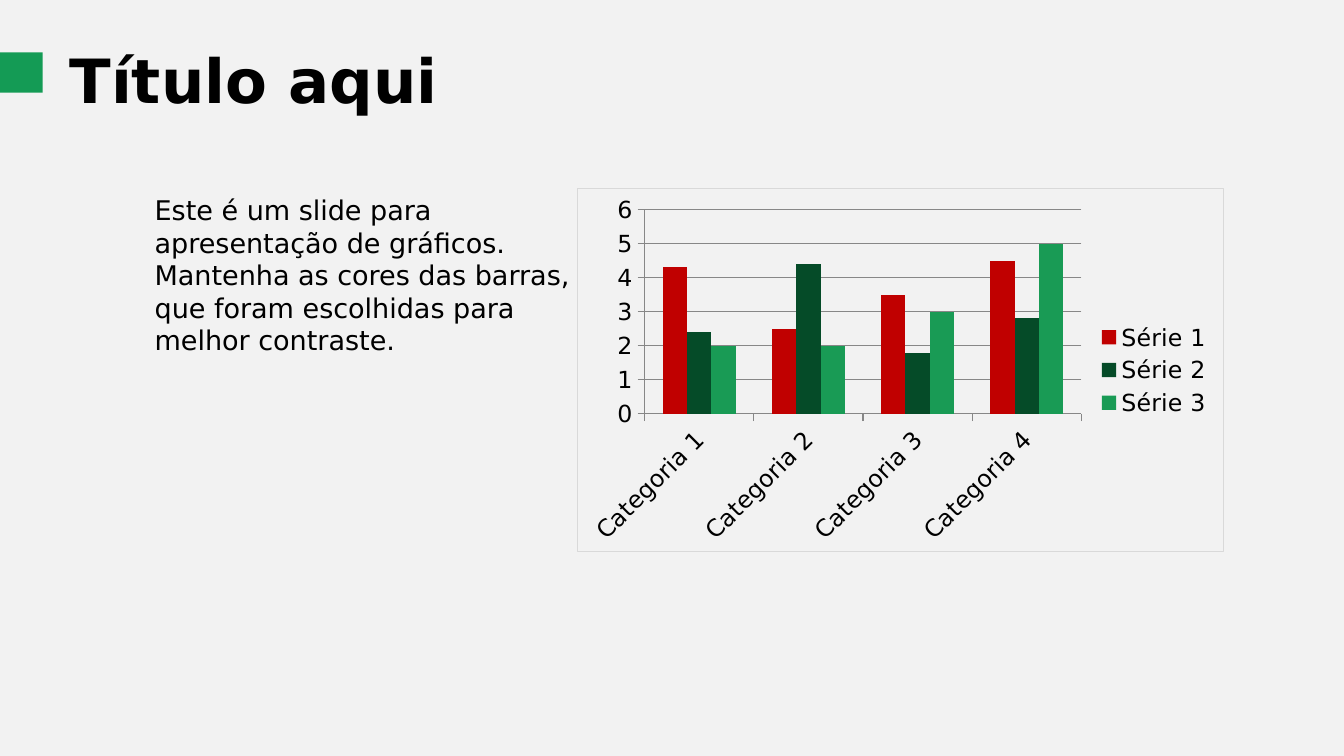
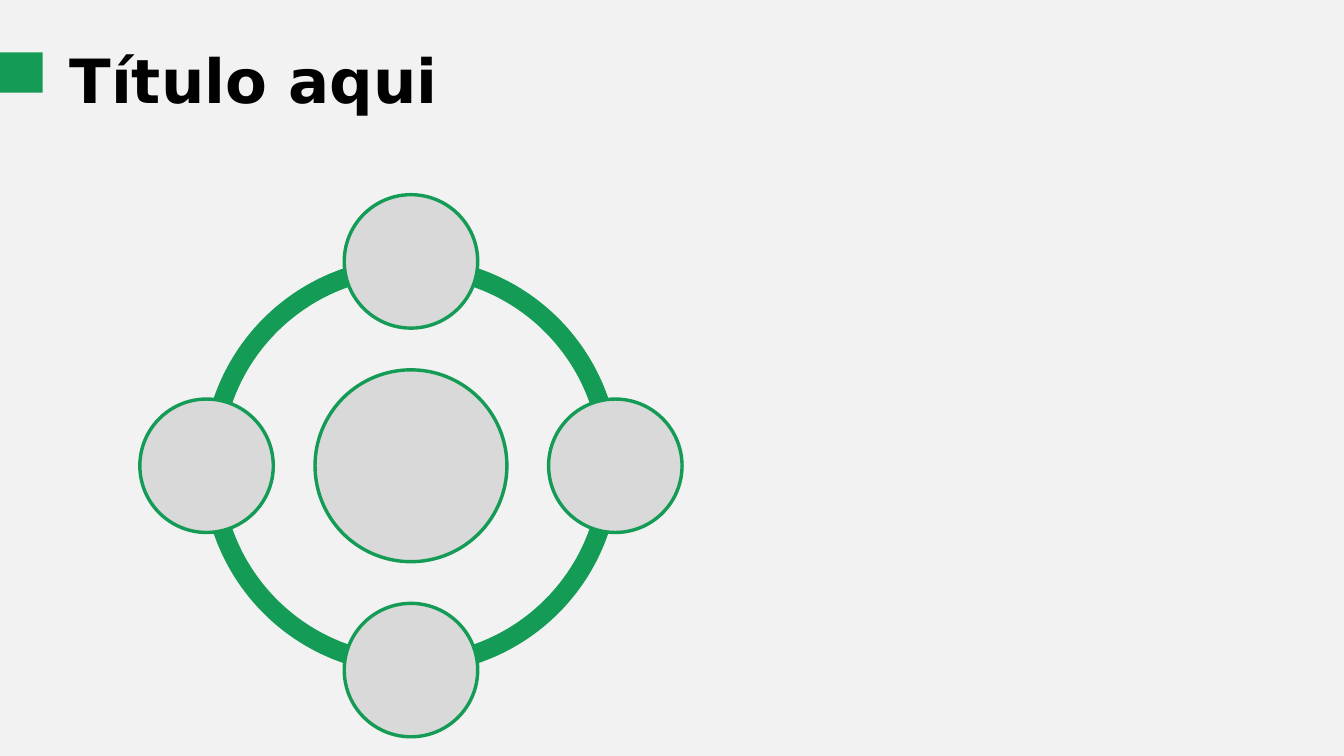
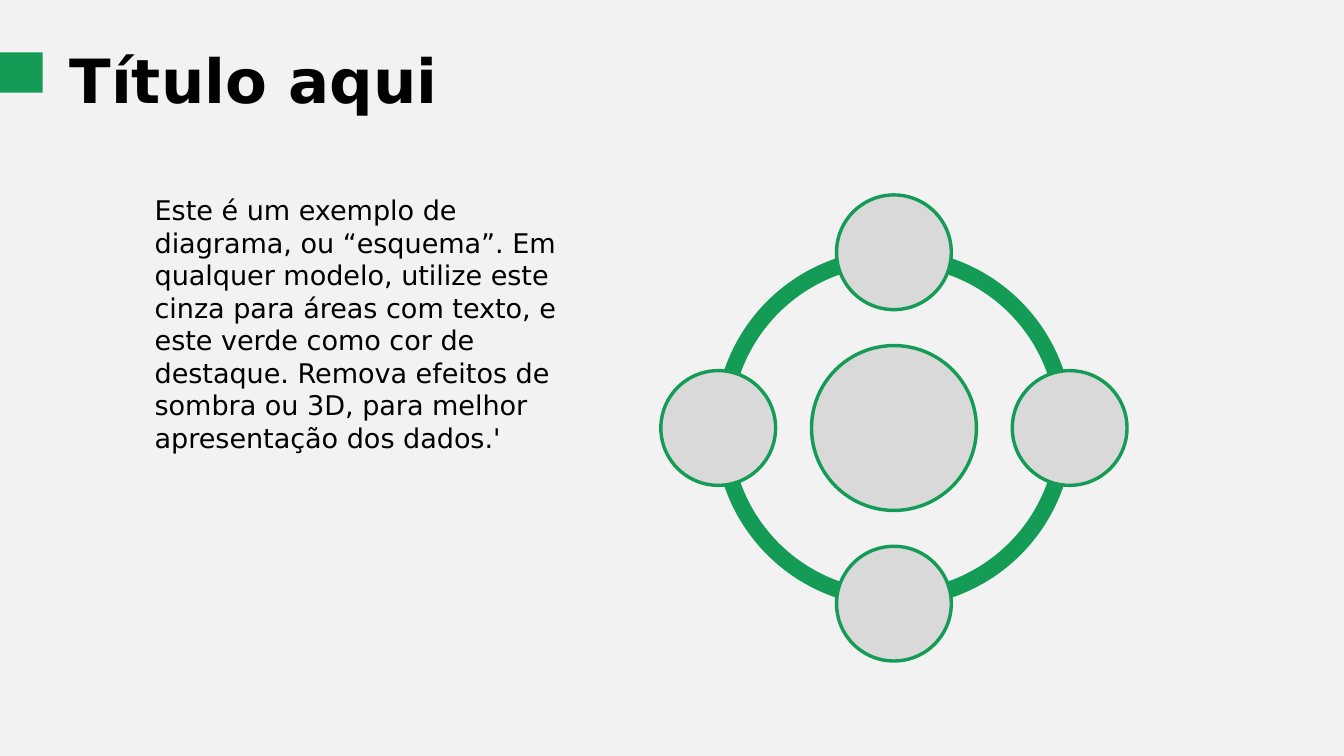
from dataclasses import dataclass

from lxml import etree
from pptx import Presentation
from pptx.chart.chart import Chart
from pptx.chart.data import CategoryChartData
from pptx.dml.color import RGBColor
from pptx.enum.chart import XL_CHART_TYPE, XL_LEGEND_POSITION, XL_TICK_MARK
from pptx.enum.shapes import MSO_SHAPE
from pptx.enum.text import MSO_ANCHOR, MSO_AUTO_SIZE, PP_ALIGN
from pptx.oxml import parse_xml
from pptx.oxml.ns import nsdecls, qn
from pptx.slide import Slide
from pptx.text.text import TextFrame
from pptx.util import Inches, Pt

COLORS = {
    "background": "F2F2F2",
    "text": "000000",
    "accent": "149B55",
    "node": "D9D9D9",
    "axis": "878787",
    "border": "D9D9D9",
}
FONT = "DejaVu Sans"
TITLE = "Título aqui"


@dataclass(frozen=True)
class Series:
    name: str
    values: tuple[float, ...]
    color: str


@dataclass(frozen=True)
class Wheel:
    """A ring with a hub in the middle and four nodes around it."""
    cx: float
    cy: float
    ring: float  # outer diameter, which scales every other part

    @property
    def hub(self) -> float:
        return self.ring * 0.46

    @property
    def node(self) -> float:
        return self.ring * 0.32

    @property
    def orbit(self) -> float:
        return self.ring * 0.49


CATEGORIES = [f"Categoria {n}" for n in range(1, 5)]
SERIES = [
    Series("Série 1", (4.3, 2.5, 3.5, 4.5), "C00000"),
    Series("Série 2", (2.4, 4.4, 1.8, 2.8), "054B28"),
    Series("Série 3", (2, 2, 3, 5), "199B55"),
]


def rgb(name: str) -> RGBColor:
    return RGBColor.from_string(COLORS[name])


def write(tf: TextFrame, text: str, size: int, bold: bool = False) -> None:
    tf.word_wrap = True
    tf.auto_size = MSO_AUTO_SIZE.NONE
    tf.vertical_anchor = MSO_ANCHOR.TOP
    p = tf.paragraphs[0]
    p.alignment = PP_ALIGN.LEFT
    r = p.add_run()
    r.text = text
    r.font.name = FONT
    r.font.size = Pt(size)
    r.font.bold = bold
    r.font.color.rgb = rgb("text")


def add_shape(shapes, kind: MSO_SHAPE, x: float, y: float, w: float, h: float,
              fill: str, line: str | None = None):
    sp = shapes.add_shape(kind, Inches(x), Inches(y), Inches(w), Inches(h))
    sp.shadow.inherit = False
    sp.fill.solid()
    sp.fill.fore_color.rgb = rgb(fill)
    if line:
        sp.line.color.rgb = rgb(line)
        sp.line.width = Pt(2)
    else:
        sp.line.fill.background()
    return sp


def new_slide(prs: Presentation) -> Slide:
    """Title-only slide with the shared title style and accent band."""
    s = prs.slides.add_slide(prs.slide_layouts[5])
    title = s.shapes.title
    title.left, title.top = Inches(0.47), Inches(0.3)
    title.width, title.height = Inches(7.47), Inches(0.7)
    write(title.text_frame, TITLE, 36, bold=True)
    add_shape(s.shapes, MSO_SHAPE.RECTANGLE, -0.04, 0.43, 0.39, 0.33, "accent")
    return s


def add_body(s: Slide, text: str, height: float) -> None:
    box = s.shapes.add_textbox(Inches(1.17), Inches(1.54), Inches(3.73), Inches(height))
    write(box.text_frame, text, 16)


def add_wheel(s: Slide, wheel: Wheel) -> None:
    shapes = s.shapes.add_group_shape().shapes

    def centred(kind: MSO_SHAPE, cx: float, cy: float, size: float,
                fill: str, line: str | None = None):
        return add_shape(shapes, kind, cx - size / 2, cy - size / 2, size, size, fill, line)

    # Ring: four quarter arcs, angles in units of 100000/60000 degree
    for start in (108, 54, 0, 162):
        arc = centred(MSO_SHAPE.BLOCK_ARC, wheel.cx, wheel.cy, wheel.ring, "accent")
        for i, value in enumerate((start, (start + 54) % 216, 0.046)):
            arc.adjustments[i] = value

    # Hub and nodes
    centred(MSO_SHAPE.OVAL, wheel.cx, wheel.cy, wheel.hub, "node", "accent")
    for dx, dy in ((0, -1), (1, 0), (0, 1), (-1, 0)):
        centred(MSO_SHAPE.OVAL, wheel.cx + dx * wheel.orbit, wheel.cy + dy * wheel.orbit,
                wheel.node, "node", "accent")


def frame_chart(chart: Chart) -> None:
    """Clear the chart's backgrounds and give it a thin border."""
    def sp_pr(line: str) -> etree._Element:
        return parse_xml(f'<c:spPr {nsdecls("c", "a")}><a:noFill/>{line}</c:spPr>')

    border = (f'<a:ln w="{Pt(0.75)}"><a:solidFill><a:srgbClr val="{COLORS["border"]}"/>'
              '</a:solidFill></a:ln>')
    c = chart.element.find(qn("c:chart"))
    c.addnext(sp_pr(border))
    c.find(qn("c:plotArea")).append(sp_pr("<a:ln><a:noFill/></a:ln>"))


def style_font(font, size: int) -> None:
    font.name = FONT
    font.size = Pt(size)
    font.color.rgb = rgb("text")


def add_column_chart(s: Slide) -> None:
    data = CategoryChartData()
    data.categories = CATEGORIES
    for series in SERIES:
        data.add_series(series.name, series.values)
    chart = s.shapes.add_chart(XL_CHART_TYPE.COLUMN_CLUSTERED, Inches(4.73), Inches(1.54),
                               Inches(5.31), Inches(2.99), data).chart
    chart.has_title = False
    style_font(chart.font, 14)
    frame_chart(chart)

    # Bars
    plot = chart.plots[0]
    plot.gap_width = 150
    plot.vary_by_categories = False
    for bars, series in zip(plot.series, SERIES):
        bars.format.fill.solid()
        bars.format.fill.fore_color.rgb = RGBColor.from_string(series.color)

    # Axes and gridlines
    chart.value_axis.has_major_gridlines = True
    for axis in (chart.category_axis, chart.value_axis):
        axis.major_tick_mark = XL_TICK_MARK.OUTSIDE
        style_font(axis.tick_labels.font, 14)
    for part in (chart.category_axis, chart.value_axis, chart.value_axis.major_gridlines):
        part.format.line.color.rgb = rgb("axis")
        part.format.line.width = Pt(0.75)

    # Legend
    chart.has_legend = True
    chart.legend.position = XL_LEGEND_POSITION.RIGHT
    chart.legend.include_in_layout = False
    style_font(chart.legend.font, 14)


def main() -> None:
    prs = Presentation()
    prs.slide_width, prs.slide_height = Inches(11.02), Inches(6.2)
    background = prs.slide_master.background.fill
    background.solid()
    background.fore_color.rgb = rgb("background")

    # Slide 1: column chart
    s = new_slide(prs)
    add_column_chart(s)
    add_body(s, "Este é um slide para apresentação de gráficos. Mantenha as cores das "
                "barras, que foram escolhidas para melhor contraste.", 1.43)

    # Slide 2: large wheel
    s = new_slide(prs)
    add_wheel(s, Wheel(3.37, 3.82, 3.42))

    # Slide 3: text and smaller wheel
    s = new_slide(prs)
    add_wheel(s, Wheel(7.33, 3.51, 2.94))
    add_body(s, "Este é um exemplo de diagrama, ou “esquema”. Em qualquer modelo, utilize "
                "este cinza para áreas com texto, e este verde como cor de destaque. Remova "
                "efeitos de sombra ou 3D, para melhor apresentação dos dados.'", 2.23)

    prs.save("out.pptx")


if __name__ == "__main__":
    main()
